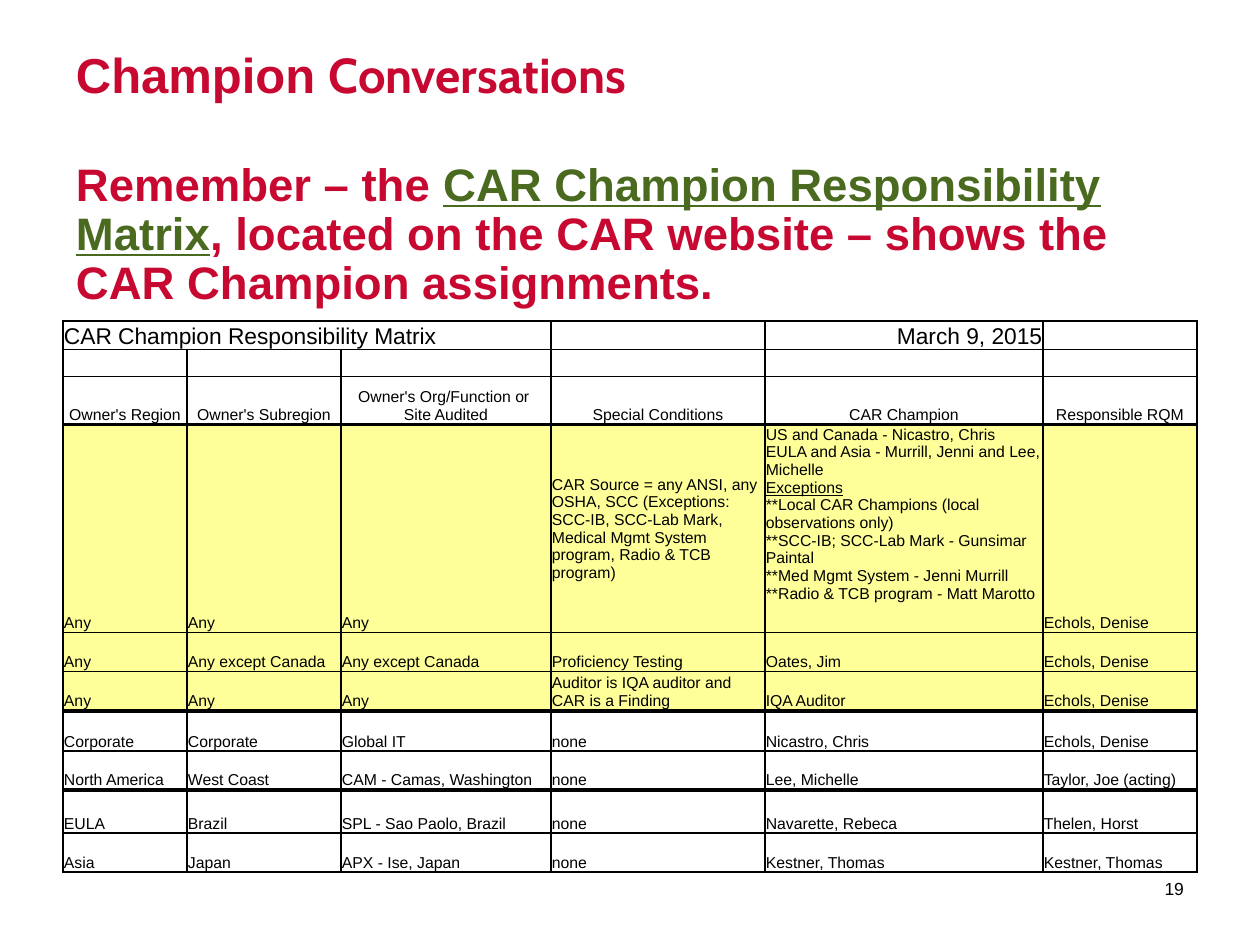
from copy import deepcopy
from dataclasses import dataclass

from lxml import etree
from pptx import Presentation
from pptx.dml.color import RGBColor
from pptx.enum.text import MSO_ANCHOR, MSO_AUTO_SIZE, PP_ALIGN
from pptx.oxml.ns import qn
from pptx.util import Emu, Pt

TOP, MIDDLE, BOTTOM = MSO_ANCHOR.TOP, MSO_ANCHOR.MIDDLE, MSO_ANCHOR.BOTTOM
LEFT, CENTER, RIGHT = PP_ALIGN.LEFT, PP_ALIGN.CENTER, PP_ALIGN.RIGHT
NO_FIT = MSO_AUTO_SIZE.NONE
TITLE_ONLY = 5
SCALE = 914400 / 126


@dataclass(frozen=True)
class Theme:
    red: str = "C70932"
    green: str = "4A6A1F"
    black: str = "000000"
    yellow: str = "FFFF99"
    font: str = "Arial"
    accent_font: str = "Cabin"
    title: int = 28
    body: int = 26
    heading: int = 13
    number: int = 10
    cell: int = 9
    frame: float = 1
    rule: float = 0.5


T = Theme()
TABLE_LEFT = 63
COLS = [124, 154, 210, 214, 278, 154]
CELL_INSETS = (1, 1, 1, 0)
BOX_INSETS = (13, 6, 13, 6)

HEADER = [
    ["CAR Champion Responsibility Matrix", "", "", "", "March 9, 2015", ""],
    [""] * 6,
    ["Owner's Region", "Owner's Subregion", "Owner's Org/Function or \nSite Audited",
     "Special Conditions", "CAR Champion", "Responsible RQM"],
]
CHAMPIONS = [
    ("US and Canada - Nicastro, Chris\nEULA and Asia - Murrill, Jenni and Lee, Michelle\n", {}),
    ("Exceptions\n", {"underline": True}),
    ("**Local CAR Champions (local observations only)\n"
     "**SCC-IB; SCC-Lab Mark - Gunsimar Paintal\n"
     "**Med Mgmt System - Jenni Murrill\n"
     "**Radio & TCB program - Matt Marotto", {}),
]
EXCEPTIONS = [
    ["Any", "Any", "Any",
     "CAR Source = any ANSI, any OSHA, SCC (Exceptions: SCC-IB, SCC-Lab Mark, "
     "Medical Mgmt System program, Radio & TCB program)",
     CHAMPIONS, "Echols, Denise"],
    ["Any", "Any except Canada", "Any except Canada", "Proficiency Testing",
     "Oates, Jim", "Echols, Denise"],
    ["Any", "Any", "Any", "Auditor is IQA auditor and CAR is a Finding",
     "IQA Auditor", "Echols, Denise"],
]
REGIONS = [
    (712, 39, ["Corporate", "Corporate", "Global IT", "none",
               "Nicastro, Chris", "Echols, Denise"]),
    (751, 38, ["North America", "West Coast", "CAM - Camas, Washington", "none",
               "Lee, Michelle", "Taylor, Joe (acting)"]),
    (791, 42, ["EULA", "Brazil", "SPL - Sao Paolo, Brazil", "none",
               "Navarette, Rebeca", "Thelen, Horst"]),
    (833, 39, ["Asia", "Japan", "APX - Ise, Japan", "none",
               "Kestner, Thomas", "Kestner, Thomas"]),
]


def px(n):
    return Emu(round(n * SCALE))


def rgb(value):
    return RGBColor.from_string(value)


def set_attrs(target, values):
    for name, value in values.items():
        setattr(target, name, value)


def set_insets(target, insets):
    sides = ("margin_left", "margin_top", "margin_right", "margin_bottom")
    set_attrs(target, dict(zip(sides, map(px, insets))))


def add_run(p, text, size, color=T.black, **font):
    for i, line in enumerate(text.split("\n")):
        if i:
            p.add_line_break()
            p._p[-1].append(deepcopy(r._r.rPr))
        r = p.add_run()
        r.text = line
        set_attrs(r.font, {"name": T.font, "size": Pt(size), **font})
        r.font.color.rgb = rgb(color)


def format_frame(tf, anchor=TOP):
    set_attrs(tf, {"word_wrap": True, "auto_size": NO_FIT, "vertical_anchor": anchor})
    set_insets(tf, BOX_INSETS)
    return tf.paragraphs[0]


def add_title(s):
    sp = s.shapes.title
    box = {"left": 63, "top": 38, "width": 1134, "height": 157}
    set_attrs(sp, {name: px(n) for name, n in box.items()})
    p = format_frame(sp.text_frame)
    p.alignment = LEFT
    add_run(p, "Champion ", T.title, T.red, bold=True)
    add_run(p, "Conversations", T.title, T.red, bold=True, name=T.accent_font)


def add_text(s, box, anchor=TOP):
    sp = s.shapes.add_textbox(*map(px, box))
    return format_frame(sp.text_frame, anchor)


def set_borders(cell, row, rows):
    top = T.rule if row else T.frame
    bottom = T.rule if row < rows - 1 else T.frame
    tcPr = cell._tc.get_or_add_tcPr()
    widths = {"lnL": T.frame, "lnR": T.frame, "lnT": top, "lnB": bottom}
    for i, (tag, width) in enumerate(widths.items()):
        ln = etree.Element(qn("a:" + tag), w=str(Pt(width)))
        fill = etree.SubElement(ln, qn("a:solidFill"))
        etree.SubElement(fill, qn("a:srgbClr"), val=T.black)
        tcPr.insert(i, ln)


def fill_cell(cell, content, size, fill):
    cell.vertical_anchor = BOTTOM
    set_insets(cell, CELL_INSETS)
    if fill:
        cell.fill.solid()
        cell.fill.fore_color.rgb = rgb(fill)
    else:
        cell.fill.background()
    p = cell.text_frame.paragraphs[0]
    if not content:
        etree.SubElement(p._p, qn("a:endParaRPr"), sz=str(size * 100))
        return
    runs = [(content, {})] if isinstance(content, str) else content
    for text, font in runs:
        add_run(p, text, size, **font)


def add_matrix(s, top, heights, rows, fill=None, sizes=None):
    sizes = sizes or [T.cell] * len(rows)
    frame = s.shapes.add_table(len(rows), len(COLS), px(TABLE_LEFT), px(top),
                               px(sum(COLS)), px(sum(heights)))
    table = frame.table
    set_attrs(table, {"first_row": False, "horz_banding": False})
    for column, width in zip(table.columns, COLS):
        column.width = px(width)
    for i, (row, height) in enumerate(zip(rows, heights)):
        table.rows[i].height = px(height)
        for j, content in enumerate(row):
            cell = table.cell(i, j)
            fill_cell(cell, content, sizes[i], fill)
            set_borders(cell, i, len(rows))
    return table


def main():
    prs = Presentation()
    set_attrs(prs, {"slide_width": px(1260), "slide_height": px(945)})
    s = prs.slides.add_slide(prs.slide_layouts[TITLE_ONLY])
    add_title(s)

    p = add_text(s, (63, 156, 1134, 766))
    p.line_spacing = 0.9
    add_run(p, "Remember – the ", T.body, T.red, bold=True)
    add_run(p, "CAR Champion Responsibility Matrix", T.body, T.green,
            bold=True, underline=True)
    add_run(p, ", located on the CAR website – shows the CAR Champion assignments.",
            T.body, T.red, bold=True)

    p = add_text(s, (1109, 864, 88, 50), MIDDLE)
    p.alignment = RIGHT
    add_run(p, "19", T.number)

    header = add_matrix(s, 321, [28, 27, 47], HEADER, sizes=[T.heading, T.cell, T.cell])
    header.cell(0, 0).merge(header.cell(0, 2))
    header.cell(0, 4).text_frame.paragraphs[0].alignment = RIGHT
    for j in range(len(COLS)):
        header.cell(2, j).text_frame.paragraphs[0].alignment = CENTER

    exceptions = add_matrix(s, 425, [207, 39, 39], EXCEPTIONS, T.yellow)
    exceptions.cell(0, 3).vertical_anchor = MIDDLE
    exceptions.cell(0, 4).vertical_anchor = TOP

    for top, height, row in REGIONS:
        add_matrix(s, top, [height], [row])

    prs.save("out.pptx")


if __name__ == "__main__":
    main()
